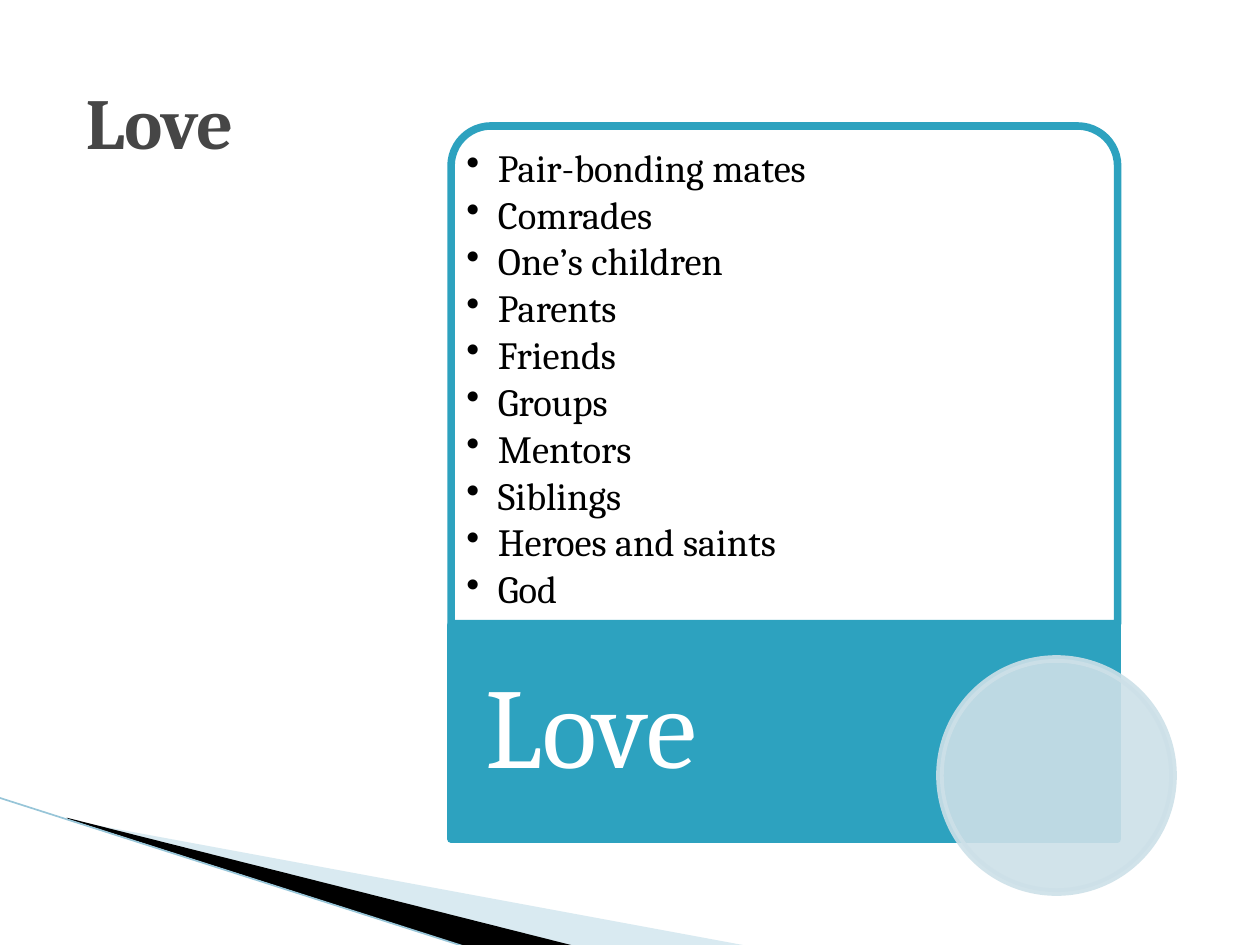
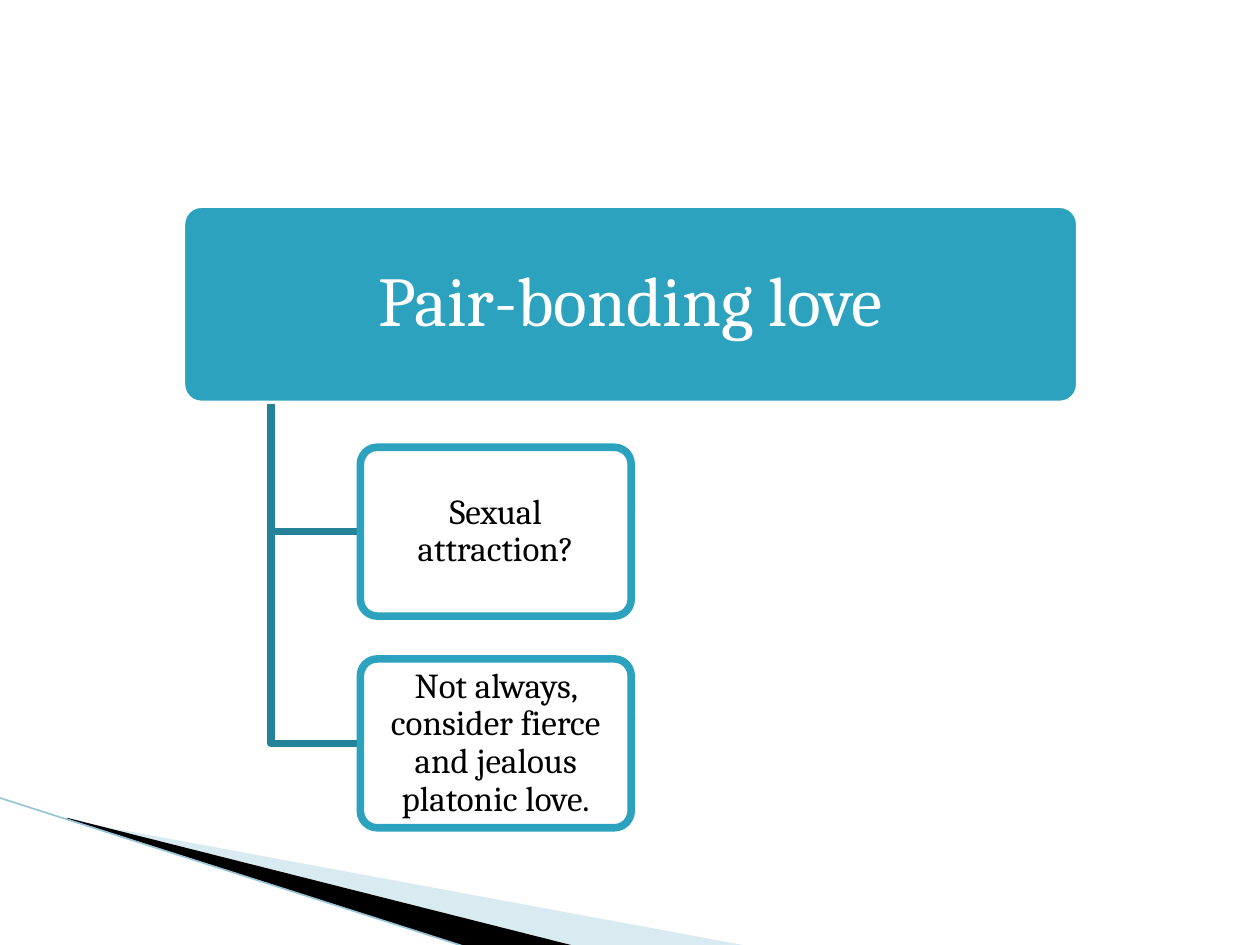
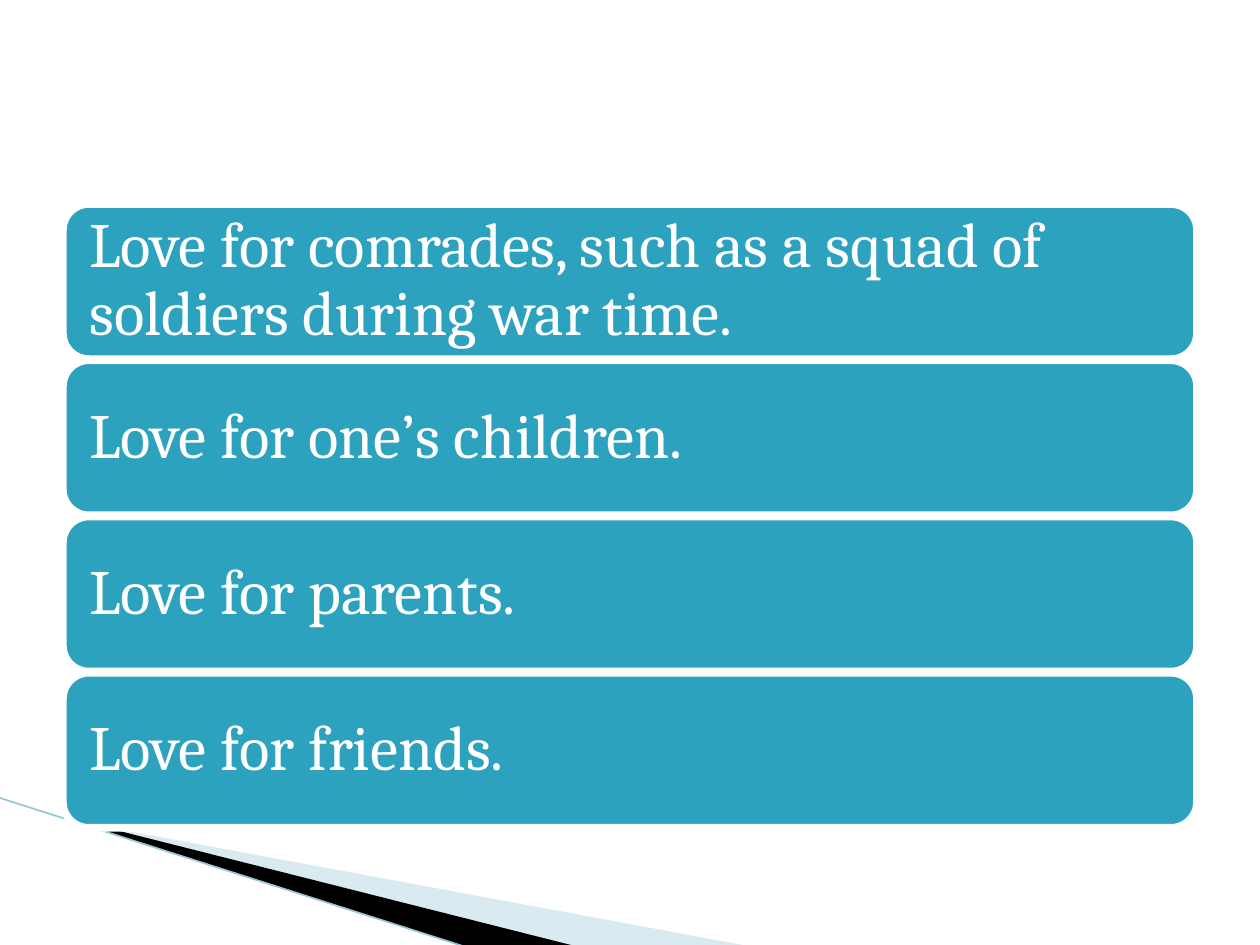
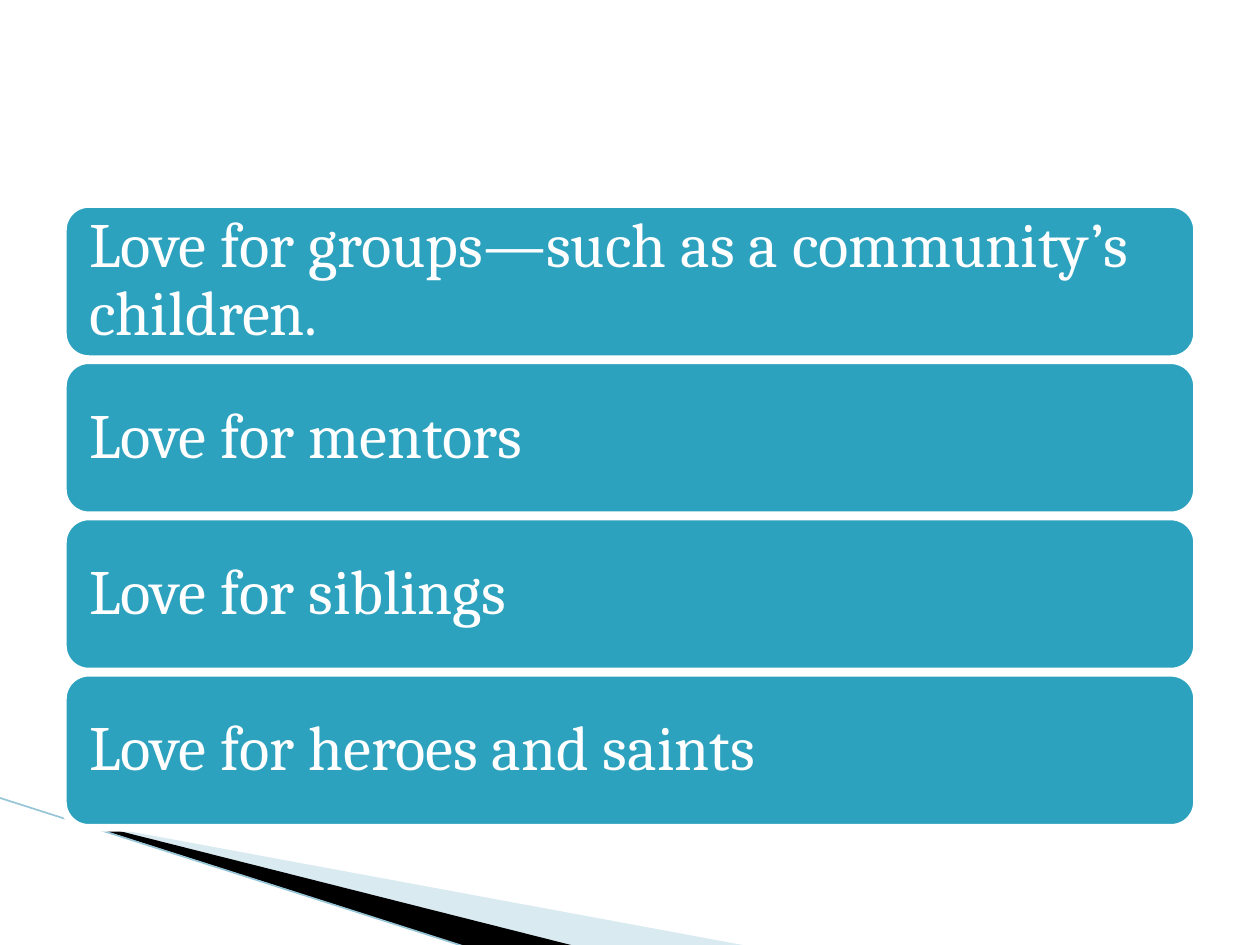
"""Builds four slides about the kinds of love, with a shared swoosh on the master."""
from dataclasses import dataclass

from lxml import etree
from pptx import Presentation
from pptx.dml.color import RGBColor
from pptx.enum.shapes import MSO_CONNECTOR, MSO_SHAPE
from pptx.enum.text import MSO_ANCHOR, MSO_AUTO_SIZE, PP_ALIGN
from pptx.oxml.ns import qn
from pptx.util import Pt

PX = 9144
TITLE_ONLY, BLANK = 5, 6
ROUNDED = MSO_SHAPE.ROUNDED_RECTANGLE
TOP_ROUNDED = MSO_SHAPE.ROUND_2_SAME_RECTANGLE
RECTANGLE = MSO_SHAPE.RECTANGLE
OVAL = MSO_SHAPE.OVAL
STRAIGHT = MSO_CONNECTOR.STRAIGHT
LEFT, CENTER = PP_ALIGN.LEFT, PP_ALIGN.CENTER
TOP, MIDDLE = MSO_ANCHOR.TOP, MSO_ANCHOR.MIDDLE
NO_AUTOFIT = MSO_AUTO_SIZE.NONE


@dataclass(frozen=True)
class Theme:
    font: str = "Cambria"
    teal: str = "2DA2BF"
    dark_teal: str = "248299"
    pale_blue: str = "CDE0E8"
    swoosh_blue: str = "A0CBDC"
    swoosh_edge: str = "97C5D8"
    white: str = "FFFFFF"
    black: str = "000000"
    title_gray: str = "464646"
    title_size: int = 41
    banner_size: int = 65
    root_size: int = 40
    bar_size: int = 36
    list_size: int = 22
    child_size: int = 20
    outline: float = 4.33
    edge: float = 0.95


theme = Theme()


def style_shape(shape, fill=None, line=None, fill_alpha=100, line_alpha=100):
    shape.shadow.inherit = False
    for target, color in ((shape.fill, fill), (shape.line.fill, line)):
        if color:
            target.solid()
            target.fore_color.rgb = RGBColor.from_string(color)
        else:
            target.background()
    if line:
        shape.line.width = Pt(theme.outline)
    for query, alpha in (("a:solidFill", fill_alpha), ("a:ln/a:solidFill", line_alpha)):
        if alpha < 100:
            color = shape.element.xpath(f"./p:spPr/{query}/a:srgbClr")[0]
            etree.SubElement(color, qn("a:alpha"), val=str(alpha * 1000))


def write_text(shape, text, size, color=theme.white, align=LEFT, anchor=MIDDLE,
               insets=(10, 5, 10, 5), bold=False, spacing=0.9, bullets=False):
    frame = shape.text_frame
    frame.word_wrap = True
    frame.auto_size = NO_AUTOFIT
    frame.vertical_anchor = anchor
    frame.margin_left, frame.margin_top, frame.margin_right, frame.margin_bottom = (
        inset * PX for inset in insets)
    frame.text = text
    for paragraph in frame.paragraphs:
        paragraph.alignment = align
        paragraph.line_spacing = spacing
        font = paragraph.runs[0].font
        font.name, font.size, font.bold = theme.font, Pt(size), bold
        font.color.rgb = RGBColor.from_string(color)
        if bullets:
            paragraph.level = 1
            paragraph.space_after = Pt(3)
            properties = paragraph._p.get_or_add_pPr()
            properties.set("marL", str(25 * PX))
            properties.set("indent", str(-25 * PX))
            etree.SubElement(properties, qn("a:buChar"), char="•")


presentation = Presentation()
presentation.slide_width = 1000 * PX
presentation.slide_height = 750 * PX

slide = presentation.slides.add_slide(presentation.slide_layouts[TITLE_ONLY])
swoosh = []
for points, color, alpha in (
    ([(55, 651), (595, 751), (456, 751), (55, 650)], theme.swoosh_blue, 40),
    ([(53, 649), (457, 751), (372, 752), (54, 650)], theme.black, 100),
):
    builder = slide.shapes.build_freeform(*points[0], scale=PX)
    builder.add_line_segments(points[1:], close=True)
    wedge = builder.convert_to_shape()
    style_shape(wedge, fill=color, fill_alpha=alpha)
    swoosh.append(wedge)
edge = slide.shapes.add_connector(STRAIGHT, -1 * PX, 633 * PX, 371 * PX, 752 * PX)
edge.line.color.rgb = RGBColor.from_string(theme.swoosh_edge)
edge.line.width = Pt(theme.edge)
etree.SubElement(edge.element.spPr, qn("a:effectLst"))
swoosh.append(edge)
for number, shape in enumerate(swoosh, start=101):
    shape.element.xpath(".//p:cNvPr")[0].set("id", str(number))
    presentation.slide_master.shapes.element.append(shape.element)

title = slide.shapes.title
title.left, title.top, title.width, title.height = 58 * PX, 50 * PX, 892 * PX, 92 * PX
write_text(title, "Love", theme.title_size, color=theme.title_gray, bold=True, spacing=1.0)

loved_ones = [
    "Pair-bonding mates", "Comrades", "One’s children", "Parents", "Friends",
    "Groups", "Mentors", "Siblings", "Heroes and saints", "God",
]
panel = slide.shapes.add_shape(TOP_ROUNDED, 358 * PX, 100 * PX, 529 * PX, 395 * PX)
panel.adjustments[0] = 0.08
style_shape(panel, fill=theme.white, line=theme.teal, fill_alpha=90)
write_text(panel, "\n".join(loved_ones), theme.list_size, color=theme.black,
           anchor=TOP, insets=(3, 9, 3, 3), bullets=True)

banner = slide.shapes.add_shape(RECTANGLE, 358 * PX, 496 * PX, 529 * PX, 170 * PX)
style_shape(banner, fill=theme.teal, line=theme.teal)
write_text(banner, "Love", theme.banner_size, insets=(27, 0, 165, 0))

circle = slide.shapes.add_shape(OVAL, 746 * PX, 523 * PX, 185 * PX, 185 * PX)
style_shape(circle, fill=theme.pale_blue, line=theme.pale_blue, fill_alpha=90, line_alpha=90)

slide = presentation.slides.add_slide(presentation.slide_layouts[BLANK])
root = slide.shapes.add_shape(ROUNDED, 144 * PX, 162 * PX, 713 * PX, 159 * PX)
root.adjustments[0] = 0.1
style_shape(root, fill=theme.teal, line=theme.white)
write_text(root, "Pair-bonding love", theme.root_size, align=CENTER, insets=(8, 6, 8, 6))

children = ["Sexual attraction?", "Not always, consider fierce and jealous platonic love."]
for index, text in enumerate(children):
    child_top = 355 + index * 168
    child_middle = child_top + 67
    builder = slide.shapes.build_freeform(215, 321, scale=PX)
    builder.add_line_segments([(215, child_middle), (286, child_middle)], close=False)
    style_shape(builder.convert_to_shape(), line=theme.dark_teal)
    child = slide.shapes.add_shape(ROUNDED, 286 * PX, child_top * PX, 215 * PX, 134 * PX)
    child.adjustments[0] = 0.1
    style_shape(child, fill=theme.white, line=theme.teal, fill_alpha=90)
    write_text(child, text, theme.child_size, color=theme.black, align=CENTER,
               insets=(4, 3, 4, 3))

bar_slides = [
    [
        "Love for comrades, such as a squad of soldiers during war time.",
        "Love for one’s children.",
        "Love for parents.",
        "Love for friends.",
    ],
    [
        "Love for groups—such as a community’s children.",
        "Love for mentors",
        "Love for siblings",
        "Love for heroes and saints",
    ],
]
for bar_texts in bar_slides:
    slide = presentation.slides.add_slide(presentation.slide_layouts[BLANK])
    for index, text in enumerate(bar_texts):
        bar = slide.shapes.add_shape(
            ROUNDED, 50 * PX, (162 + index * 124) * PX, 900 * PX, 123 * PX)
        style_shape(bar, fill=theme.teal, line=theme.white)
        write_text(bar, text, theme.bar_size, insets=(15, 15, 15, 15))

presentation.save("out.pptx")
